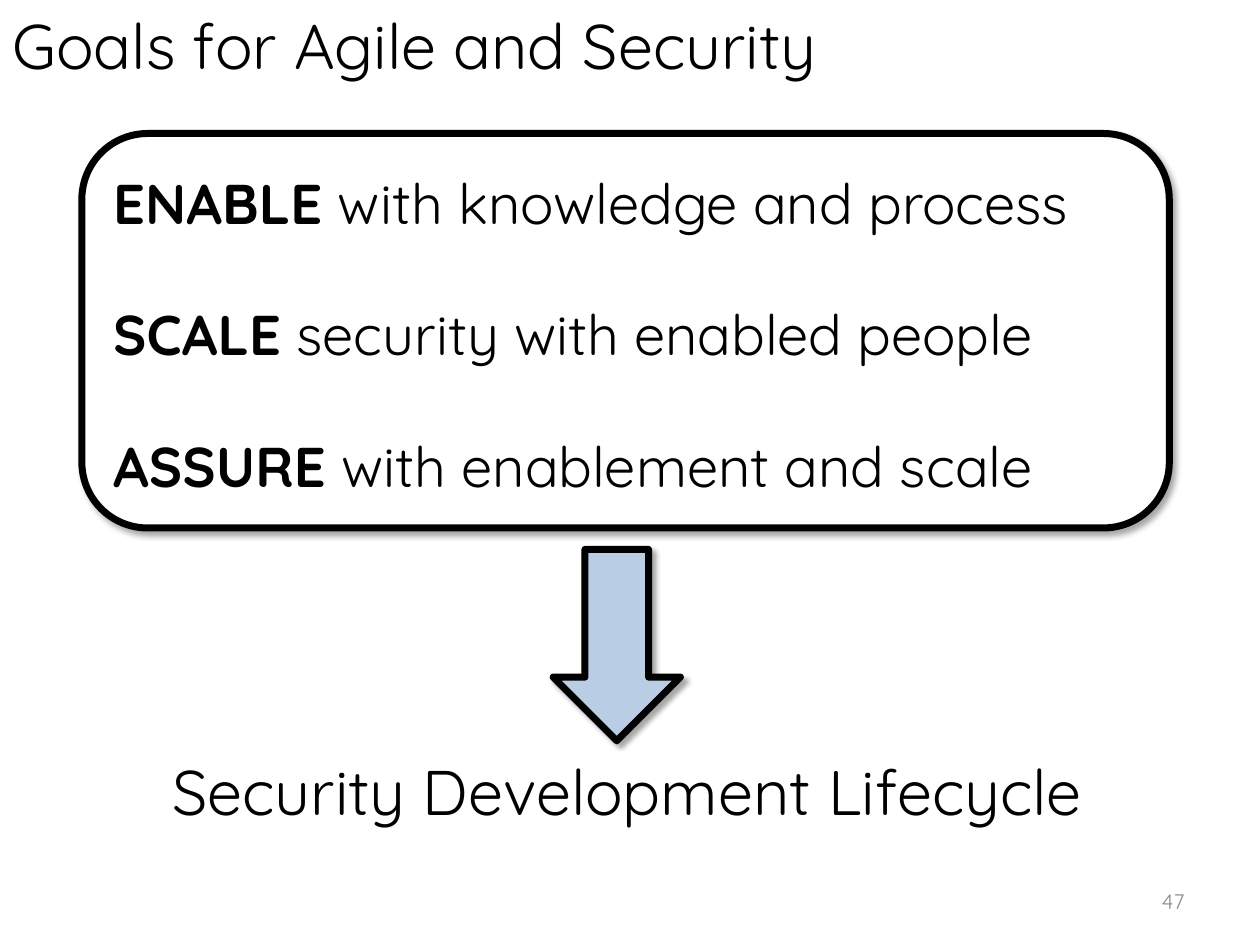
from lxml.etree import SubElement
from pptx import Presentation
from pptx.dml.color import RGBColor
from pptx.enum.shapes import MSO_SHAPE
from pptx.enum.text import MSO_ANCHOR, MSO_AUTO_SIZE, PP_ALIGN
from pptx.oxml.ns import qn
from pptx.util import Pt

FONT = "Quicksand"
BLACK, WHITE, BLUE, GRAY = "000000", "FFFFFF", "B9CDE5", "8C8C8C"

TITLE = "Goals for Agile and Security"
GOALS = [
    ("ENABLE", " with knowledge and process"),
    ("SCALE", " security with enabled people"),
    ("ASSURE", " with enablement and scale"),
]
OUTCOME = "Security Development Lifecycle"
PAGE_NUMBER = "47"

TITLE_AREA = (0, 0, 679, 51)
FRAME_AREA = (46.8, 76.3, 621.4, 225.4)
GOALS_AREA = (57.6, 92.9, 634.3, 223.2)
ARROW_AREA = (316.1, 313.9, 72.7, 109.4)
OUTCOME_AREA = (57.6, 426.2, 601.2, 51)
NUMBER_AREA = (516.2, 500.4, 167.8, 28.8)


def color(value):
    return RGBColor.from_string(value)


def points(area):
    return [Pt(length) for length in area]


def add_span(para, text, size, ink=BLACK, bold=False):
    span = para.add_run()
    span.text = text
    span.font.name = FONT
    span.font.size = Pt(size)
    span.font.bold = bold
    span.font.color.rgb = color(ink)


def format_frame(box, anchor=MSO_ANCHOR.TOP):
    frame = box.text_frame
    frame.word_wrap = True
    frame.auto_size = MSO_AUTO_SIZE.NONE
    frame.vertical_anchor = anchor
    return frame


def add_text(page, area, lines, size, ink=BLACK, align=PP_ALIGN.LEFT,
             anchor=MSO_ANCHOR.TOP, gap=0):
    frame = format_frame(page.shapes.add_textbox(*points(area)), anchor)
    for index, spans in enumerate(lines):
        para = frame.add_paragraph() if index else frame.paragraphs[0]
        para.alignment = align
        para.space_before = Pt(gap if index else 0)
        for text, bold in spans:
            add_span(para, text, size, ink, bold)


def add_outlined(page, kind, area, fill):
    shape = page.shapes.add_shape(kind, *points(area))
    shape.fill.solid()
    shape.fill.fore_color.rgb = color(fill)
    shape.line.color.rgb = color(BLACK)
    shape.line.width = Pt(4)
    shape.shadow.inherit = False
    effects = shape.element.spPr.find(qn("a:effectLst"))
    shadow = SubElement(effects, qn("a:outerShdw"), blurRad=str(Pt(3.1)),
                        dist=str(Pt(3)), dir="2700000", rotWithShape="0")
    tint = SubElement(shadow, qn("a:srgbClr"), val=BLACK)
    SubElement(tint, qn("a:alpha"), val="35000")


def main():
    deck = Presentation()
    deck.slide_width, deck.slide_height = Pt(720), Pt(540)
    page = deck.slides.add_slide(deck.slide_layouts.get_by_name("Title Only"))

    title = page.shapes.title
    title.left, title.top, title.width, title.height = points(TITLE_AREA)
    para = format_frame(title).paragraphs[0]
    para.alignment = PP_ALIGN.LEFT
    add_span(para, TITLE, 36)

    add_outlined(page, MSO_SHAPE.DOWN_ARROW, ARROW_AREA, BLUE)
    add_outlined(page, MSO_SHAPE.ROUNDED_RECTANGLE, FRAME_AREA, WHITE)

    goal_lines = [[(verb, True), (rest, False)] for verb, rest in GOALS]
    add_text(page, GOALS_AREA, goal_lines, 32, gap=36.6)
    add_text(page, OUTCOME_AREA, [[(OUTCOME, False)]], 36, align=PP_ALIGN.CENTER)
    add_text(page, NUMBER_AREA, [[(PAGE_NUMBER, False)]], 12, GRAY,
             PP_ALIGN.RIGHT, MSO_ANCHOR.MIDDLE)

    deck.save("out.pptx")


if __name__ == "__main__":
    main()
